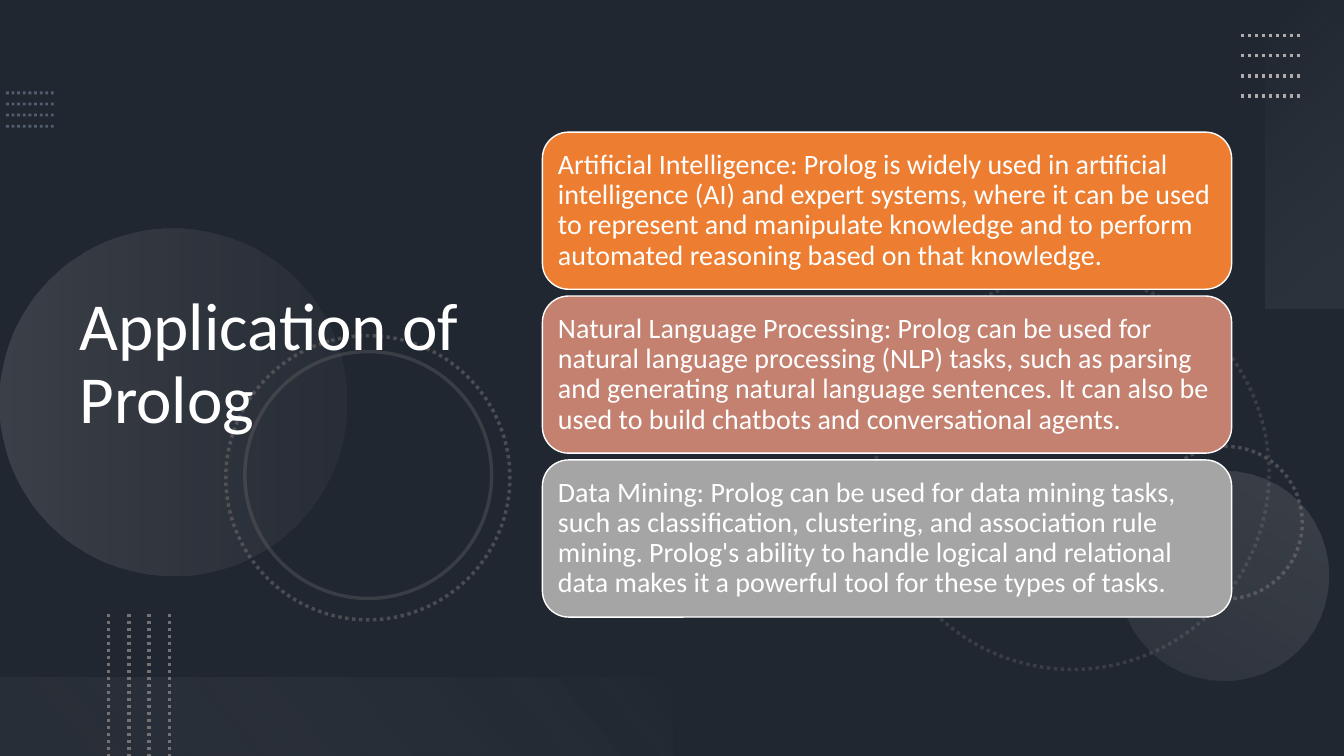
"""Build the "Application of Prolog" slide with three topic cards."""
from dataclasses import dataclass
from typing import Optional

from pptx import Presentation
from pptx.dml.color import RGBColor
from pptx.enum.dml import MSO_LINE
from pptx.enum.shapes import MSO_CONNECTOR, MSO_SHAPE
from pptx.enum.text import MSO_ANCHOR, PP_ALIGN
from pptx.oxml.ns import qn
from pptx.oxml.xmlchemy import OxmlElement
from pptx.util import Cm, Pt

DOTTED = MSO_LINE.ROUND_DOT
STRAIGHT = MSO_CONNECTOR.STRAIGHT
RECTANGLE = MSO_SHAPE.RECTANGLE
ROUNDED = MSO_SHAPE.ROUNDED_RECTANGLE
OVAL = MSO_SHAPE.OVAL
MIDDLE = MSO_ANCHOR.MIDDLE
LEFT = PP_ALIGN.LEFT

SLATE = RGBColor(0x44, 0x54, 0x6A)
BLACK = RGBColor(0x00, 0x00, 0x00)
WHITE = RGBColor(0xFF, 0xFF, 0xFF)
BLUE_GRAY = RGBColor(0x84, 0x97, 0xB0)
DARK_GRAY = RGBColor(0x76, 0x71, 0x71)
MID_GRAY = RGBColor(0xAF, 0xAB, 0xAB)
PALE_GRAY = RGBColor(0xF5, 0xF5, 0xF5)
ORANGE = RGBColor(0xED, 0x7D, 0x31)
ROSE = RGBColor(0xC4, 0x81, 0x70)
SILVER = RGBColor(0xA5, 0xA5, 0xA5)

FONT = "Calibri"
SLIDE_WIDTH, SLIDE_HEIGHT = 33.87, 19.05
CARD_LEFT, CARD_TOP, CARD_WIDTH, CARD_HEIGHT = 13.67, 3.33, 17.37, 3.96
CARD_PITCH = 4.13


@dataclass
class DottedLines:
    """Four parallel dotted lines, in centimetres."""
    left: float
    top: float
    length: float
    gap: float
    color: RGBColor
    width: float = 2.5
    opacity: int = 100
    vertical: bool = False


@dataclass
class Stop:
    """One end of a gradient."""
    color: RGBColor
    opacity: int
    position: float


@dataclass
class Decoration:
    """A ring, or a shape filled with a gradient, in centimetres."""
    left: float
    top: float
    width: float
    height: float
    rotation: int
    kind: int = OVAL
    stops: Optional[tuple[Stop, Stop]] = None
    angle: int = 90
    dotted: bool = True
    opacity: int = 100


@dataclass
class Card:
    """A topic and its colour."""
    text: str
    color: RGBColor


CORNER_LINES_LEFT = DottedLines(0.15, 2.34, 1.2, 0.28, BLUE_GRAY, width=2, opacity=50)
CORNER_LINES_RIGHT = DottedLines(31.27, 0.89, 1.52, 0.51, MID_GRAY)
BOTTOM_LINES = DottedLines(2.74, 15.47, 3.58, 0.51, DARK_GRAY, vertical=True)

CIRCLES = [
    Decoration(22.07, 6.96, 9.91, 9.91, 75, opacity=30),
    Decoration(28.98, 11.25, 3.84, 3.84, 270, opacity=50),
    Decoration(0, 5.77, 8.74, 8.74, 270,
               stops=(Stop(MID_GRAY, 20, 0), Stop(DARK_GRAY, 10, 1))),
    Decoration(28.19, 11.86, 5.28, 5.28, 210,
               stops=(Stop(MID_GRAY, 10, 0), Stop(MID_GRAY, 20, 1))),
    Decoration(5.69, 8.46, 7.16, 7.16, 75, opacity=50),
    Decoration(6.17, 8.86, 6.22, 6.22, 75, dotted=False, opacity=30),
]
RIGHT_PANEL = Decoration(29.01, 2.9, 7.77, 1.98, 270, RECTANGLE,
                         (Stop(PALE_GRAY, 0, 0), Stop(MID_GRAY, 10, 1)), 140)
BOTTOM_PANEL = Decoration(0, 17.07, 16.94, 1.98, 180, RECTANGLE,
                          (Stop(DARK_GRAY, 10, 0.1), Stop(PALE_GRAY, 0, 1)), 140)

CARDS = [
    Card("Artificial Intelligence: Prolog is widely used in artificial intelligence (AI) "
         "and expert systems, where it can be used to represent and manipulate knowledge "
         "and to perform automated reasoning based on that knowledge.", ORANGE),
    Card("Natural Language Processing: Prolog can be used for natural language processing "
         "(NLP) tasks, such as parsing and generating natural language sentences. It can "
         "also be used to build chatbots and conversational agents.", ROSE),
    Card("Data Mining: Prolog can be used for data mining tasks, such as classification, "
         "clustering, and association rule mining. Prolog's ability to handle logical and "
         "relational data makes it a powerful tool for these types of tasks.", SILVER),
]


def set_opacity(shape, *percentages: int) -> None:
    """Give each colour of the shape, in order, its opacity."""
    for color, percentage in zip(shape.element.iter(qn("a:srgbClr")), percentages):
        alpha = OxmlElement("a:alpha")
        alpha.set("val", str(percentage * 1000))
        color.append(alpha)


def write_text(shape, text: str, *, size: float, color: RGBColor = WHITE) -> None:
    """Write one left-aligned, vertically centred paragraph."""
    frame = shape.text_frame
    frame.word_wrap = True
    frame.vertical_anchor = MIDDLE
    frame.text = text
    paragraph = frame.paragraphs[0]
    paragraph.alignment = LEFT
    paragraph.line_spacing = 0.9
    font = paragraph.runs[0].font
    font.name, font.size = FONT, Pt(size)
    font.color.rgb = color


def add_shape(slide, kind: int, left: float, top: float, width: float, height: float):
    """Add a preset shape without a shadow."""
    shape = slide.shapes.add_shape(kind, Cm(left), Cm(top), Cm(width), Cm(height))
    shape.shadow.inherit = False
    return shape


def add_overlay(slide) -> None:
    """Darken the whole slide."""
    overlay = add_shape(slide, RECTANGLE, 0, 0, SLIDE_WIDTH, SLIDE_HEIGHT)
    overlay.fill.solid()
    overlay.fill.fore_color.rgb = BLACK
    overlay.line.fill.background()
    set_opacity(overlay, 53)


def add_dotted_lines(slide, lines: DottedLines) -> None:
    """Draw four evenly spaced dotted lines."""
    for index in range(4):
        offset = index * lines.gap
        left = lines.left + (offset if lines.vertical else 0)
        top = lines.top + (0 if lines.vertical else offset)
        right = left + (0 if lines.vertical else lines.length)
        bottom = top + (lines.length if lines.vertical else 0)
        connector = slide.shapes.add_connector(
            STRAIGHT, Cm(left), Cm(top), Cm(right), Cm(bottom))
        connector.line.color.rgb = lines.color
        connector.line.width = Pt(lines.width)
        connector.line.dash_style = DOTTED
        connector.element.spPr.append(OxmlElement("a:effectLst"))
        if lines.opacity < 100:
            set_opacity(connector, lines.opacity)


def add_decoration(slide, item: Decoration) -> None:
    """Draw a ring or a gradient shape."""
    shape = add_shape(slide, item.kind, item.left, item.top, item.width, item.height)
    shape.rotation = item.rotation
    if item.stops:
        shape.line.fill.background()
        shape.fill.gradient()
        shape.fill.gradient_angle = 360 - item.angle
        for target, stop in zip(shape.fill.gradient_stops, item.stops):
            target.color.rgb = stop.color
            target.position = stop.position
        set_opacity(shape, *(stop.opacity for stop in item.stops))
        return
    shape.fill.background()
    shape.line.color.rgb = DARK_GRAY
    shape.line.width = Pt(2.5)
    if item.dotted:
        shape.line.dash_style = DOTTED
    set_opacity(shape, item.opacity)


def add_title(slide, text: str) -> None:
    """Place the title in front of the decorations."""
    title = slide.shapes.title
    title.left, title.top, title.width, title.height = Cm(1.75), Cm(1.37), Cm(11.66), Cm(15.67)
    write_text(title, text, size=48)
    title.element.getparent().append(title.element)


def add_card(slide, card: Card, index: int) -> None:
    """Draw one topic card in its row."""
    shape = add_shape(slide, ROUNDED, CARD_LEFT, CARD_TOP + index * CARD_PITCH,
                      CARD_WIDTH, CARD_HEIGHT)
    shape.fill.solid()
    shape.fill.fore_color.rgb = card.color
    shape.line.color.rgb = WHITE
    shape.line.width = Pt(1)
    frame = shape.text_frame
    frame.margin_left = frame.margin_right = frame.margin_top = frame.margin_bottom = Cm(0.2)
    write_text(shape, card.text, size=20)


def main() -> None:
    """Build and save the presentation."""
    presentation = Presentation()
    presentation.slide_width, presentation.slide_height = Cm(SLIDE_WIDTH), Cm(SLIDE_HEIGHT)
    slide = presentation.slides.add_slide(presentation.slide_layouts[5])
    slide.background.fill.solid()
    slide.background.fill.fore_color.rgb = SLATE
    add_overlay(slide)
    add_dotted_lines(slide, CORNER_LINES_LEFT)
    for circle in CIRCLES:
        add_decoration(slide, circle)
    add_decoration(slide, RIGHT_PANEL)
    add_dotted_lines(slide, CORNER_LINES_RIGHT)
    add_decoration(slide, BOTTOM_PANEL)
    add_dotted_lines(slide, BOTTOM_LINES)
    add_title(slide, "Application of Prolog")
    for index, card in enumerate(CARDS):
        add_card(slide, card, index)
    presentation.save("out.pptx")


if __name__ == "__main__":
    main()
